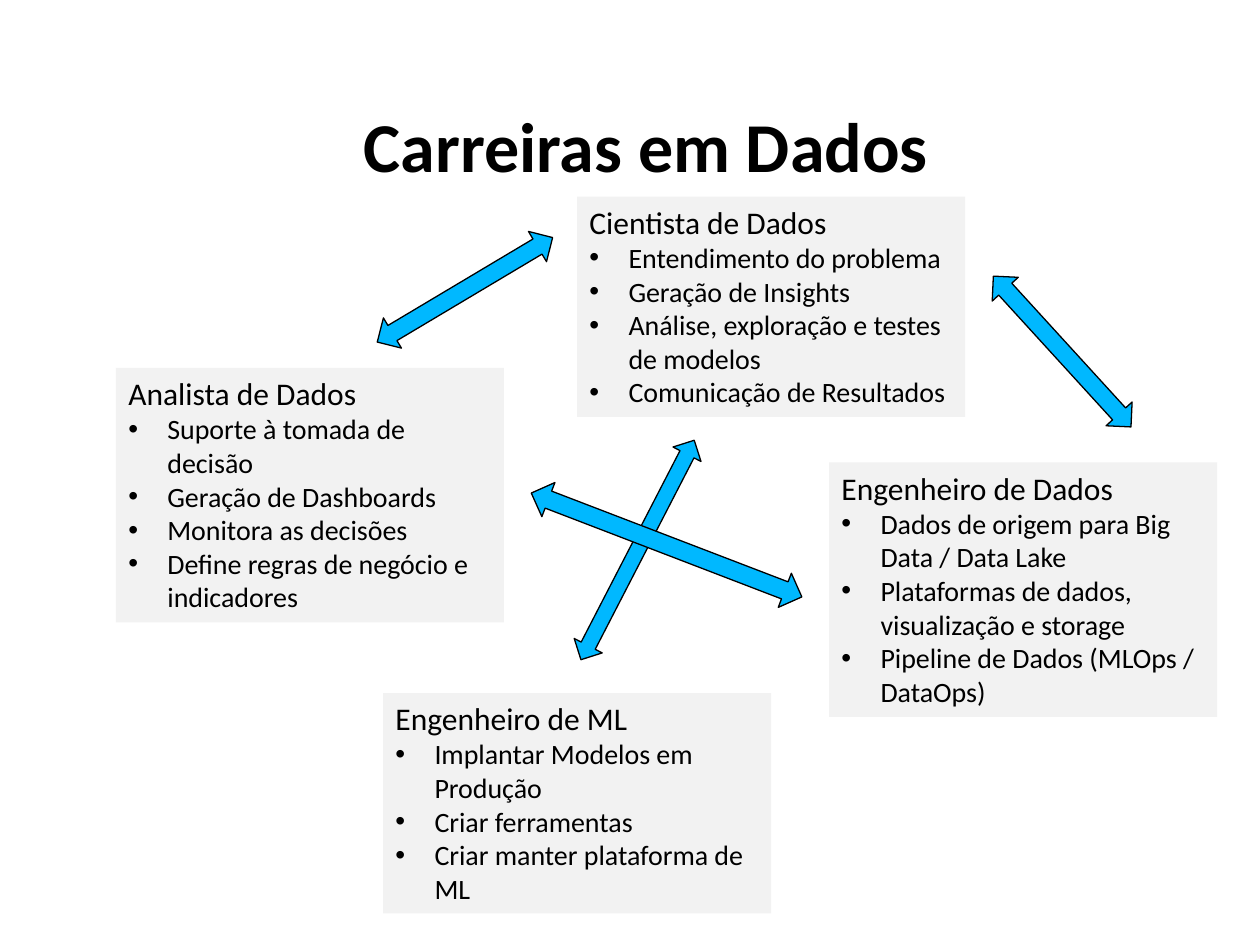
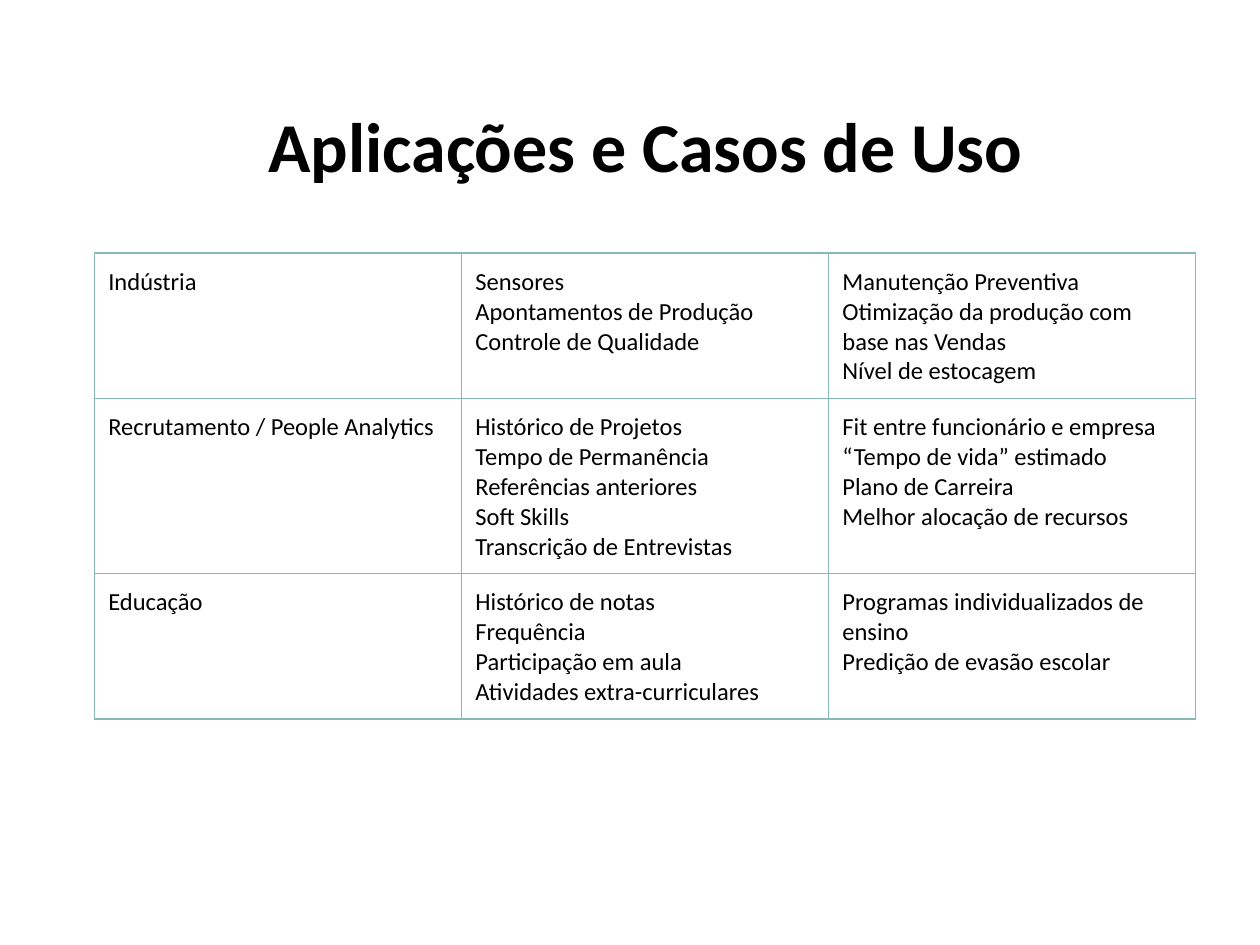
"""Build two slides on data careers and their applications."""
from lxml import etree
from pptx import Presentation
from pptx.dml.color import RGBColor
from pptx.enum.shapes import MSO_SHAPE
from pptx.enum.text import MSO_ANCHOR, MSO_AUTO_SIZE, PP_ALIGN
from pptx.oxml.ns import qn
from pptx.util import Inches, Pt

RECTANGLE = MSO_SHAPE.RECTANGLE
DOUBLE_ARROW = MSO_SHAPE.LEFT_RIGHT_ARROW
TOP, MIDDLE = MSO_ANCHOR.TOP, MSO_ANCHOR.MIDDLE
LEFT, CENTER = PP_ALIGN.LEFT, PP_ALIGN.CENTER
GROW = MSO_AUTO_SIZE.SHAPE_TO_FIT_TEXT

FONT = "Calibri"
BLACK, CARD_GREY, ARROW_BLUE, BORDER_GREEN = "000000", "F2F2F2", "00B8FF", "89BAB1"
CARD_WIDTH = 3.08
INDENT = Inches(0.31)

TITLES = ["Carreiras em Dados", "Aplicações e Casos de Uso"]

CAREERS = [
    (4.58, 1.56, 1.75, "Cientista de Dados", [
        "Entendimento do problema", "Geração de Insights",
        "Análise, exploração e testes de modelos", "Comunicação de Resultados"]),
    (0.92, 2.92, 2.02, "Analista de Dados", [
        "Suporte à tomada de decisão", "Geração de Dashboards",
        "Monitora as decisões", "Define regras de negócio e indicadores"]),
    (3.04, 5.5, 1.75, "Engenheiro de ML", [
        "Implantar Modelos em Produção", "Criar ferramentas",
        "Criar manter plataforma de ML"]),
    (6.58, 3.67, 2.02, "Engenheiro de Dados", [
        "Dados de origem para Big Data / Data Lake",
        "Plataformas de dados, visualização e storage",
        "Pipeline de Dados (MLOps / DataOps)"]),
]

ARROWS = [
    (7.62, 2.65, 1.62, 0.28, 47.6),
    (2.88, 2.16, 1.62, 0.28, 149.2),
    (4.08, 4.24, 1.96, 0.25, 117.3),
    (4.14, 4.18, 2.3, 0.29, 201),
]

USE_CASES = [
    (1.12, ["Indústria"],
     ["Sensores", "Apontamentos de Produção", "Controle de Qualidade"],
     ["Manutenção Preventiva", "Otimização da produção com base nas Vendas",
      "Nível de estocagem"]),
    (1.35, ["Recrutamento / People Analytics"],
     ["Histórico de Projetos", "Tempo de Permanência", "Referências anteriores",
      "Soft Skills", "Transcrição de Entrevistas"],
     ["Fit entre funcionário e empresa", "“Tempo de vida” estimado",
      "Plano de Carreira", "Melhor alocação de recursos"]),
    (1.12, ["Educação"],
     ["Histórico de notas", "Frequência", "Participação em aula",
      "Atividades extra-curriculares"],
     ["Programas individualizados de ensino", "Predição de evasão escolar"]),
]


def color(value):
    return RGBColor.from_string(value)


def style(paragraph, size, align=LEFT, bold=False):
    paragraph.alignment = align
    paragraph.font.name = FONT
    paragraph.font.size = Pt(size)
    paragraph.font.bold = bold
    paragraph.font.color.rgb = color(BLACK)


deck = Presentation()
deck.slide_width, deck.slide_height = Inches(10), Inches(7.5)
blank = deck.slide_layouts[6]

for title in TITLES:
    page = deck.slides.add_slide(blank)
    box = page.shapes.add_textbox(Inches(0.75), Inches(0.75), Inches(8.75), Inches(0.8))
    box.text_frame.word_wrap = True
    box.text_frame.vertical_anchor = MIDDLE
    box.text_frame.text = title
    style(box.text_frame.paragraphs[0], 40, CENTER, True)

careers_page, cases_page = deck.slides

for left, top, height, career, duties in CAREERS:
    card = careers_page.shapes.add_shape(
        RECTANGLE, Inches(left), Inches(top), Inches(CARD_WIDTH), Inches(height))
    card.shadow.inherit = False
    card.fill.solid()
    card.fill.fore_color.rgb = color(CARD_GREY)
    card.line.fill.background()
    frame = card.text_frame
    frame.word_wrap = True
    frame.auto_size = GROW
    frame.vertical_anchor = TOP
    frame.text = "\n".join([career] + duties)
    heading, *items = frame.paragraphs
    style(heading, 18)
    for item in items:
        properties = item._p.get_or_add_pPr()
        properties.set("marL", str(INDENT))
        properties.set("indent", str(-INDENT))
        bullet_color = etree.SubElement(properties, qn("a:buClr"))
        etree.SubElement(bullet_color, qn("a:srgbClr"), val=BLACK)
        etree.SubElement(properties, qn("a:buFont"), typeface="Arial")
        etree.SubElement(properties, qn("a:buChar"), char="•")
        style(item, 16)

for left, top, width, height, angle in ARROWS:
    arrow = careers_page.shapes.add_shape(
        DOUBLE_ARROW, Inches(left), Inches(top), Inches(width), Inches(height))
    arrow.rotation = angle
    arrow.shadow.inherit = False
    arrow.fill.solid()
    arrow.fill.fore_color.rgb = color(ARROW_BLUE)
    arrow.line.color.rgb = color(BLACK)
    arrow.line.width = Pt(0.75)

table = cases_page.shapes.add_table(
    len(USE_CASES), 3, Inches(0.75), Inches(2.01), Inches(8.74), Inches(3.59)).table
table.first_row = table.horz_banding = False
for row, (height, *columns) in enumerate(USE_CASES):
    table.rows[row].height = Inches(height)
    for column, lines in enumerate(columns):
        cell = table.cell(row, column)
        cell.margin_left = cell.margin_right = Inches(0.11)
        cell.margin_top = cell.margin_bottom = Inches(0.11)
        cell.text = "\n".join(lines)
        for paragraph in cell.text_frame.paragraphs:
            style(paragraph, 14)
        cell_properties = cell._tc.get_or_add_tcPr()
        for side in ("a:lnL", "a:lnR", "a:lnT", "a:lnB"):
            border = etree.SubElement(cell_properties, qn(side), w=str(Pt(1)))
            border_fill = etree.SubElement(border, qn("a:solidFill"))
            etree.SubElement(border_fill, qn("a:srgbClr"), val=BORDER_GREEN)
        cell.fill.background()

deck.save("out.pptx")
